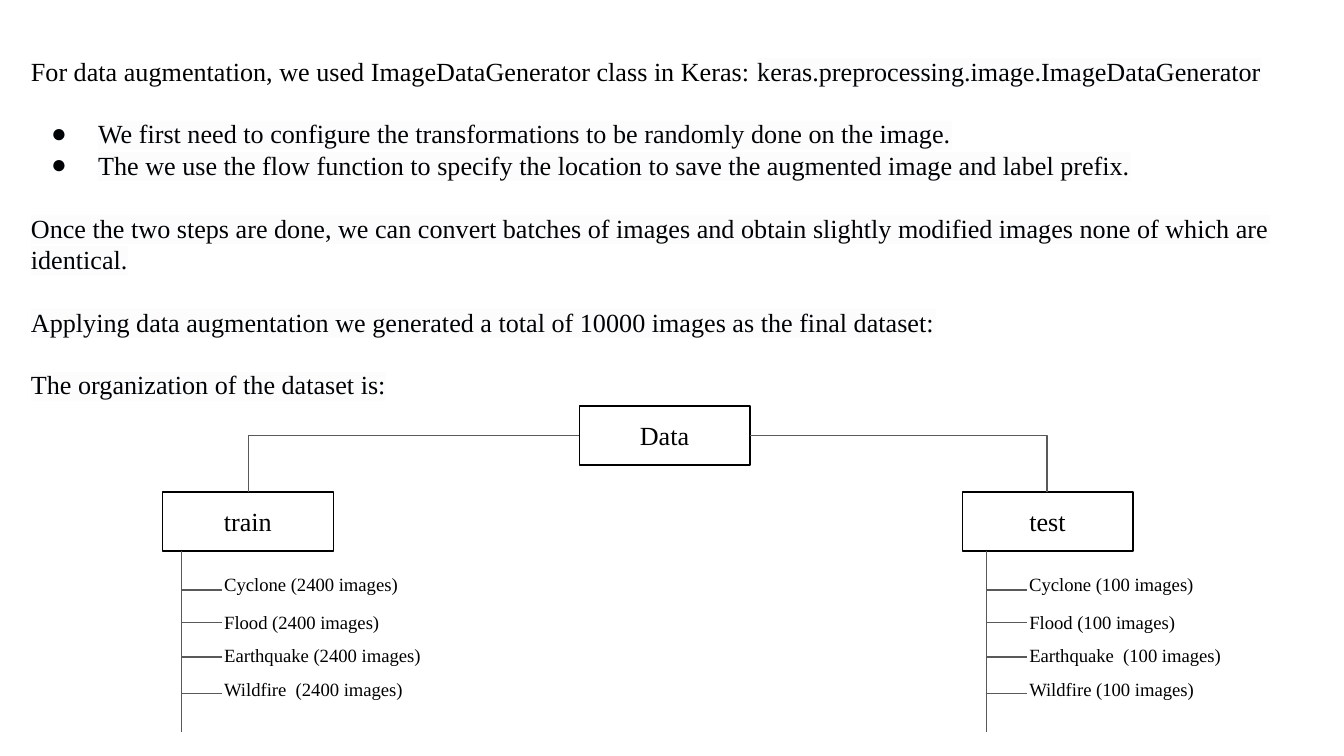
import pptx
import pptx.util
import pptx.dml.color
import pptx.enum.shapes
import pptx.enum.text
import pptx.oxml
import pptx.oxml.ns
from lxml import etree

Inches = pptx.util.Inches
Pt = pptx.util.Pt
RGB = pptx.dml.color.RGBColor.from_string
qn = pptx.oxml.ns.qn
Kind = pptx.enum.shapes.MSO_CONNECTOR
Fit = pptx.enum.text.MSO_AUTO_SIZE
COLORS = {"black": "000000", "ink": "000305", "mark": "FCFCFC",
          "white": "FFFFFF", "gray": "595959"}


def style(run, size, color="black"):
    run.font.name = "Times New Roman"
    run.font.size = Pt(size)
    run.font.color.rgb = RGB(COLORS[color])


def join(kind, x1, y1, x2, y2):
    """Draw a thin gray connector without a shadow."""
    line = slide.shapes.add_connector(
        kind, Inches(x1), Inches(y1), Inches(x2), Inches(y2))
    line.line.color.rgb = RGB(COLORS["gray"])
    line.line.width = Pt(0.75)
    props = line._element.spPr
    etree.SubElement(props, qn("a:effectLst"))
    if kind == Kind.ELBOW:
        props.find(qn("a:prstGeom")).set("prst", "bentConnector2")


deck = pptx.Presentation()
deck.slide_width = Inches(10)
deck.slide_height = Inches(10 * 9 / 16)
slide = deck.slides.add_slide(deck.slide_layouts[1])
title = slide.shapes.title._element
title.getparent().remove(title)

# Body text: wording, bulleted, gap above
PARAS = [
    ("For data augmentation, we used ImageDataGenerator class in Keras: ", False, False),
    ("We first need to configure the transformations to be randomly done on the image.", True, True),
    ("The we use the flow function to specify the location to save the augmented image and label prefix.", True, False),
    ("Once the two steps are done, we can convert batches of images and obtain slightly modified images none of which are identical.", False, True),
    ("Applying data augmentation we generated a total of 10000 images as the final dataset:", False, True),
    ("The organization of the dataset is:", False, True),
]
body = slide.placeholders[1]
body.left, body.top = Inches(0.13), Inches(0.31)
body.width, body.height = Inches(9.63), Inches(2.79)
frame = body.text_frame
frame.word_wrap = True
frame.auto_size = Fit.SHAPE_TO_FIT_TEXT
frame.vertical_anchor = pptx.enum.text.MSO_ANCHOR.TOP
frame.margin_left = frame.margin_right = Inches(0.1)
frame.margin_top = frame.margin_bottom = Inches(0.1)
frame.text = "\n".join(text for text, _, _ in PARAS)
frame.paragraphs[0].add_run().text = "keras.preprocessing.image.ImageDataGenerator"

for para, (_, listed, gap) in zip(frame.paragraphs, PARAS):
    para.line_spacing = 1.0
    para.space_before = Pt(16.8 if gap else 0)
    para.space_after = Pt(0)
    props = para._p.get_or_add_pPr()
    props.set("marL", str(Inches(0.5 if listed else 0)))
    props.set("indent", str(Inches(-0.35 if listed else 0)))
    if listed:
        tint = etree.SubElement(props, qn("a:buClr"))
        etree.SubElement(tint, qn("a:srgbClr"), val=COLORS["ink"])
        etree.SubElement(props, qn("a:buChar"), char="●")
    else:
        etree.SubElement(props, qn("a:buNone"))
    for run in para.runs:
        style(run, 14, "ink")
        mark = etree.Element(qn("a:highlight"))
        etree.SubElement(mark, qn("a:srgbClr"), val=COLORS["mark"])
        run._r.rPr.find(qn("a:latin")).addprevious(mark)
intro = frame.paragraphs[0].runs[0]
style(intro, 14)
intro._r.rPr.remove(intro._r.rPr.find(qn("a:highlight")))

# Tree nodes
WIDE, HIGH = 1.27, 0.44
for text, x, y in [("Data", 4.31, 3.02), ("train", 1.21, 3.66), ("test", 7.16, 3.66)]:
    node = slide.shapes.add_shape(
        pptx.enum.shapes.MSO_SHAPE.RECTANGLE,
        Inches(x), Inches(y), Inches(WIDE), Inches(HIGH))
    node.shadow.inherit = False
    node.fill.solid()
    node.fill.fore_color.rgb = RGB(COLORS["white"])
    node.line.color.rgb = RGB(COLORS["black"])
    node.line.width = Pt(0.75)
    node.text_frame.text = text
    node.text_frame.vertical_anchor = pptx.enum.text.MSO_ANCHOR.MIDDLE
    para = node.text_frame.paragraphs[0]
    para.alignment = pptx.enum.text.PP_ALIGN.CENTER
    style(para.runs[0], 14)

join(Kind.ELBOW, 4.31, 3.24, 1.85, 3.66)
join(Kind.ELBOW, 5.58, 3.24, 7.79, 3.66)

# Branches with one tick and label per class
TICKS = [4.39, 4.63, 4.89, 5.16]
TOPS = [4.18, 4.46, 4.71, 4.96]
BRANCHES = [
    (1.35, 1.57, [("Cyclone (2400 images)", 1.76), ("Flood (2400 images)", 1.67),
                  ("Earthquake (2400 images)", 3.28), ("Wildfire  (2400 images)", 2.33)]),
    (7.34, 7.56, [("Cyclone (100 images)", 1.67), ("Flood (100 images)", 2.11),
                  ("Earthquake  (100 images)", 2.11), ("Wildfire (100 images)", 1.98)]),
]
for trunk, left, labels in BRANCHES:
    join(Kind.STRAIGHT, trunk, 4.1, trunk, 5.45)
    for tick, top, (text, wide) in zip(TICKS, TOPS, labels):
        join(Kind.STRAIGHT, trunk, tick, trunk + 0.3, tick)
        label = slide.shapes.add_textbox(
            Inches(left), Inches(top), Inches(wide), Inches(0.37))
        frame = label.text_frame
        frame.word_wrap = True
        frame.auto_size = Fit.SHAPE_TO_FIT_TEXT
        frame.margin_left = frame.margin_right = Inches(0.1)
        frame.margin_top = frame.margin_bottom = Inches(0.1)
        frame.text = text
        style(frame.paragraphs[0].runs[0], 10)

deck.save("out.pptx")
